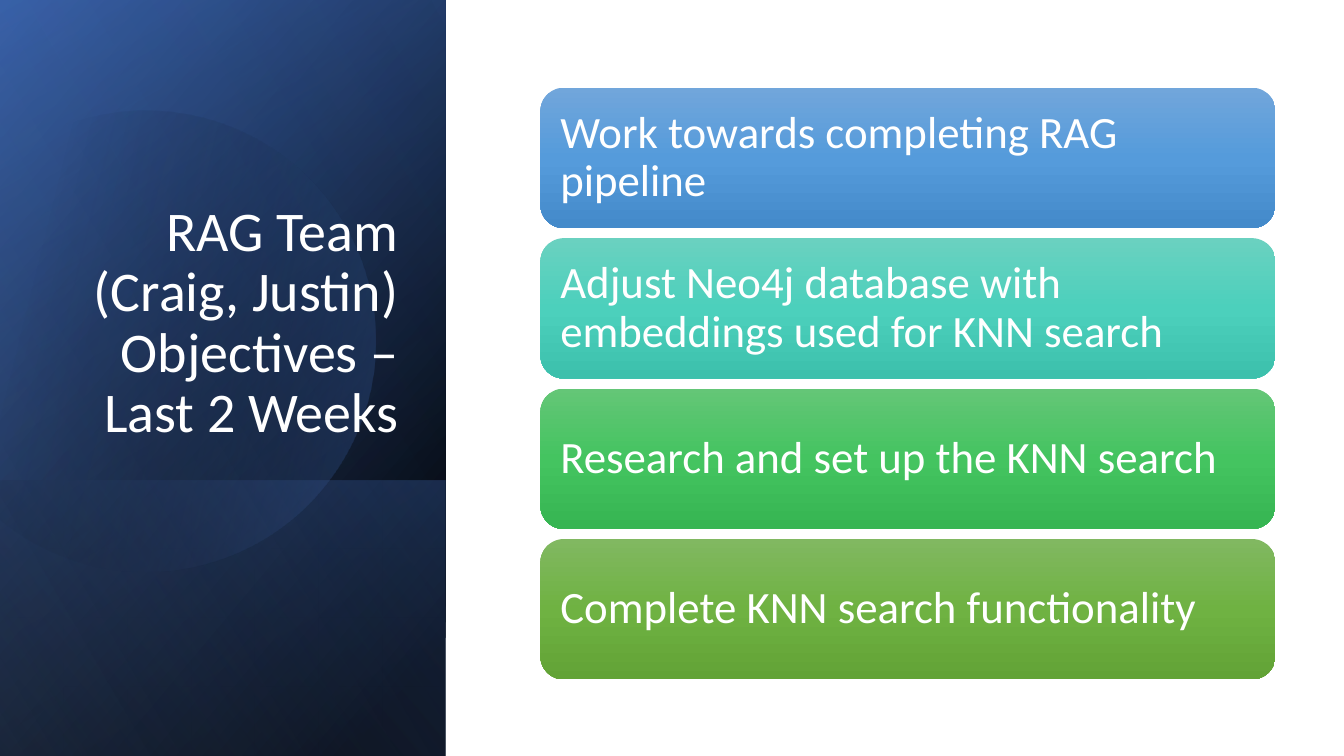
import math

from lxml import etree
from pptx import Presentation
from pptx.dml.color import RGBColor
from pptx.enum import shapes, text
from pptx.oxml import ns
from pptx.util import Inches, Pt

W, H = 13.33, 7.5
COLORS = {
    "white": "FFFFFF", "black": "000000", "navy": "2F5597", "blue": "4472C4", "pale": "8FAADC",
}
OBJECTIVES = [
    ("Work towards completing RAG pipeline", ("71A6DB", "559BDB", "448ACA")),
    ("Adjust Neo4j database with embeddings used for KNN search", ("6AD1C0", "4CD0BC", "3CC0AC")),
    ("Research and set up the KNN search", ("64C677", "44C460", "36B552")),
    ("Complete KNN search functionality", ("81B861", "6FB242", "62A336")),
]


def paint(sp, stops, angle):
    """Give a shape a linear gradient of (position, colour, opacity) stops, without line or shadow."""
    sp.shadow.inherit = False
    sp.line.fill.background()
    sp.fill.background()
    grad = etree.Element(ns.qn("a:gradFill"), rotWithShape="1")
    stop_list = etree.SubElement(grad, ns.qn("a:gsLst"))
    for position, color, opacity in stops:
        stop = etree.SubElement(stop_list, ns.qn("a:gs"), pos=str(position * 1000))
        rgb = etree.SubElement(stop, ns.qn("a:srgbClr"), val=color)
        if opacity < 100:
            etree.SubElement(rgb, ns.qn("a:alpha"), val=str(opacity * 1000))
    etree.SubElement(grad, ns.qn("a:lin"), ang=str(angle * 60000), scaled="0")
    sp_pr = sp._element.spPr
    sp_pr.replace(sp_pr.find(ns.qn("a:noFill")), grad)


def write(tf, words, size, align, anchor):
    """Set one white paragraph in a text frame."""
    tf.word_wrap = True
    tf.vertical_anchor = anchor
    p = tf.paragraphs[0]
    p.text = words
    p.alignment = align
    p.line_spacing = 0.9
    p.font.name = "Calibri"
    p.font.size = Pt(size)
    p.font.color.rgb = RGBColor.from_string(COLORS["white"])


def add_panel(slide, box, stops, angle):
    """Fill a box with a gradient rectangle that is mirrored and turned a quarter."""
    x, y, w, h = box
    left, top = x + (w - h) / 2, y + (h - w) / 2
    sp = slide.shapes.add_shape(
        shapes.MSO_SHAPE.RECTANGLE, Inches(left), Inches(top), Inches(h), Inches(w))
    sp.rotation = 90
    sp._element.spPr.xfrm.set("flipH", "1")
    paint(sp, stops, angle)


def add_disc(slide, box):
    """Draw the tilted disc, cut off on its left, as one arc closed by a chord."""
    x, y, w, h = box
    cx, cy, radius = Inches(x + 0.325 * w), Inches(y + 0.446 * h), Inches(0.517 * w)
    start, end = 242, 510
    points = [
        (cx + radius * math.cos(math.radians(a)), cy + radius * math.sin(math.radians(a)))
        for a in (start, 270, 360, 450, end)
    ]
    builder = slide.shapes.build_freeform(*points[0], scale=1.0)
    builder.add_line_segments(points[1:], close=True)
    sp = builder.convert_to_shape()
    first, *others = list(sp._element.iter(ns.qn("a:lnTo")))
    arc = etree.Element(
        ns.qn("a:arcTo"), wR=str(radius), hR=str(radius),
        stAng=str(start * 60000), swAng=str((end - start) * 60000))
    outline = first.getparent()
    outline.replace(first, arc)
    for line in others:
        outline.remove(line)
    sp.rotation = 343.9
    paint(sp, [(29, COLORS["black"], 0), (100, COLORS["blue"], 43)], 30)


def add_sidebar(slide, box):
    """Build the dark sidebar with its layered gradients and title."""
    x, y, w, h = box
    black, navy, blue, pale = (COLORS[name] for name in ("black", "navy", "blue", "pale"))
    foot = (x, y + 0.635 * h, w, 0.365 * h)
    add_panel(slide, box, [(8, black, 100), (100, navy, 100)], 50)
    add_panel(slide, box, [(0, black, 0), (99, blue, 46)], 30)
    add_panel(slide, foot, [(2, blue, 29), (100, black, 30)], 130)
    add_disc(slide, box)
    add_panel(slide, box, [(0, black, 0), (99, pale, 11)], 120)
    title = slide.shapes.add_textbox(
        Inches(x + 0.145 * w), Inches(y + 0.245 * h), Inches(0.771 * w), Inches(0.35 * h))
    write(title.text_frame, "RAG Team (Craig, Justin) Objectives – Last 2 Weeks", 40,
          text.PP_ALIGN.RIGHT, text.MSO_ANCHOR.BOTTOM)


def add_objectives(slide, box, gap=0.1):
    """Stack one rounded bar per objective, evenly spaced in the box."""
    x, y, w, h = box
    pitch = (h + gap) / len(OBJECTIVES)
    for row, (words, colors) in enumerate(OBJECTIVES):
        sp = slide.shapes.add_shape(
            shapes.MSO_SHAPE.ROUNDED_RECTANGLE,
            Inches(x), Inches(y + row * pitch), Inches(w), Inches(pitch - gap))
        paint(sp, [(50 * i, color, 100) for i, color in enumerate(colors)], 90)
        tf = sp.text_frame
        tf.margin_left = tf.margin_right = tf.margin_top = tf.margin_bottom = Inches(0.13)
        write(tf, words, 32, text.PP_ALIGN.LEFT, text.MSO_ANCHOR.MIDDLE)


def main():
    """Build and save the slide."""
    prs = Presentation()
    prs.slide_width, prs.slide_height = Inches(W), Inches(H)
    slide = prs.slides.add_slide(prs.slide_layouts[6])
    add_sidebar(slide, (0, 0, 4.42, H))
    add_objectives(slide, (5.36, 0.87, 7.29, 5.87))
    prs.save("out.pptx")


if __name__ == "__main__":
    main()
